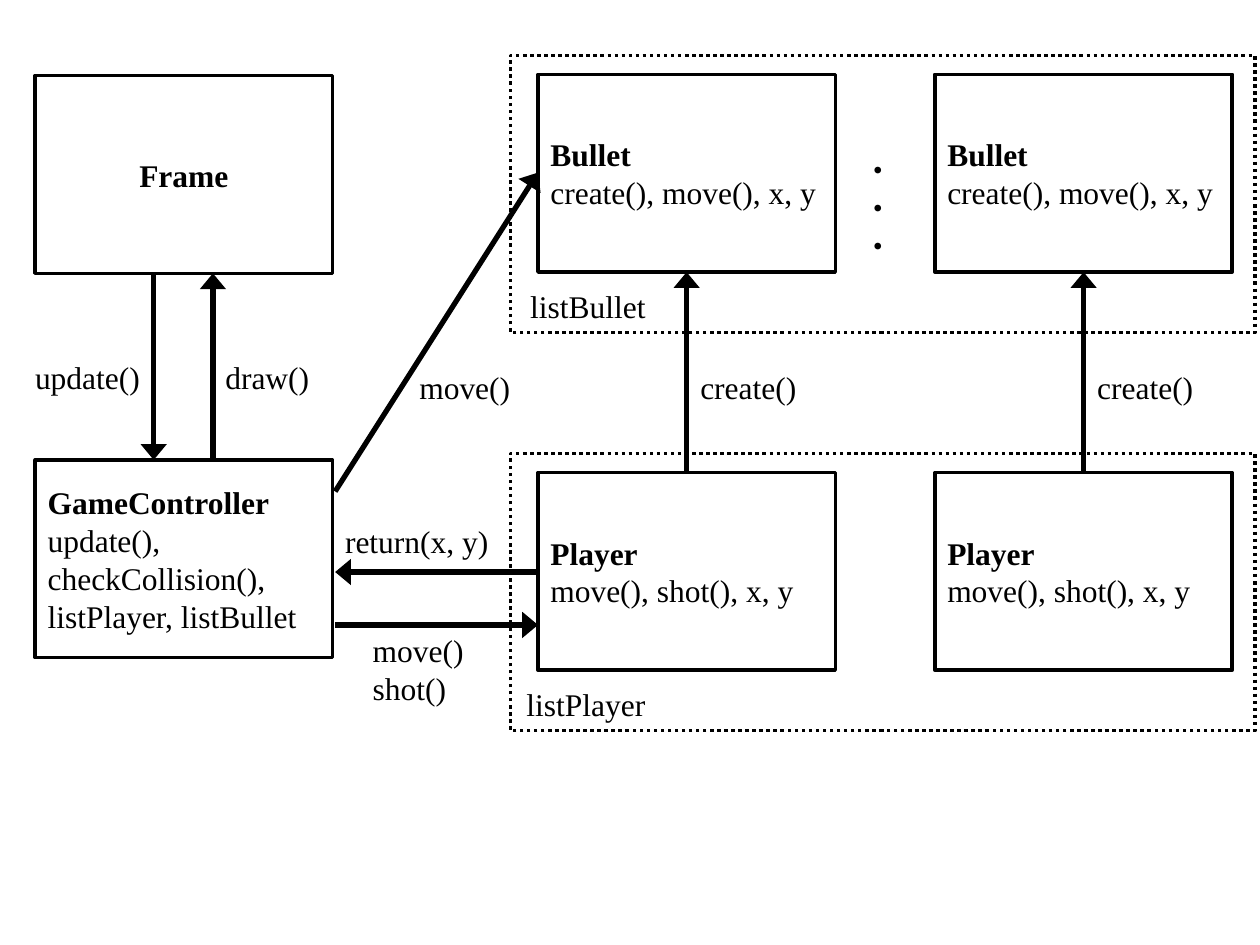
from lxml import etree
from pptx import Presentation
from pptx.dml.color import RGBColor
from pptx.enum.dml import MSO_LINE
from pptx.enum.shapes import MSO_CONNECTOR, MSO_SHAPE
from pptx.enum.text import MSO_ANCHOR, MSO_AUTO_SIZE, PP_ALIGN
from pptx.oxml.ns import qn
from pptx.util import Inches, Pt

RECTANGLE = MSO_SHAPE.RECTANGLE
STRAIGHT = MSO_CONNECTOR.STRAIGHT
DOTTED = MSO_LINE.ROUND_DOT
MIDDLE = MSO_ANCHOR.MIDDLE
LEFT, CENTER = PP_ALIGN.LEFT, PP_ALIGN.CENTER
FIT_SHAPE = MSO_AUTO_SIZE.SHAPE_TO_FIT_TEXT

COLORS = {"ink": "000000", "paper": "FFFFFF"}
FONT, TEXT_SIZE = "Times New Roman", 18
SLIDE_WIDTH, SLIDE_HEIGHT = 10, 7.5
CARD_WIDTH, CARD_HEIGHT = 2.36, 1.57
GROUP_WIDTH, GROUP_HEIGHT = 5.91, 2.2
CARD_INSET_X, CARD_INSET_Y, CARD_PITCH = 0.22, 0.15, 3.15
LABEL_HEIGHT = 0.4
COLUMNS = {"control": 0.28, "list": 4.05}
ROWS = {"bullets": 0.44, "players": 3.6}
FRAME_TOP, CONTROLLER_TOP = 0.6, 3.65
CONTROL_RIGHT = COLUMNS["control"] + CARD_WIDTH + 0.02
CARD_LEFT = COLUMNS["list"] + CARD_INSET_X
BULLET_BOTTOM = ROWS["bullets"] + CARD_INSET_Y + CARD_HEIGHT
PLAYER_TOP = ROWS["players"] + CARD_INSET_Y


def color(name):
    """Return a palette colour."""
    return RGBColor.from_string(COLORS[name])


def write_text(text_frame, text, align=LEFT, bold_title=False):
    """Set the text in the diagram's type style, with an optional bold first line."""
    text_frame.text = text
    for index, paragraph in enumerate(text_frame.paragraphs):
        paragraph.alignment = align
        for run in paragraph.runs:
            run.font.name = FONT
            run.font.size = Pt(TEXT_SIZE)
            run.font.bold = bold_title and index == 0
            run.font.color.rgb = color("ink")


def add_rectangle(slide, left, top, width, height):
    """Add an unfilled rectangle with a black outline."""
    shape = slide.shapes.add_shape(
        RECTANGLE, Inches(left), Inches(top), Inches(width), Inches(height))
    shape.shadow.inherit = False
    shape.fill.background()
    shape.line.color.rgb = color("ink")
    shape.line.width = Pt(2)
    return shape


def add_card(slide, left, top, text, align=LEFT):
    """Add a class card: bold name, then its members."""
    card = add_rectangle(slide, left, top, CARD_WIDTH, CARD_HEIGHT)
    card.fill.solid()
    card.fill.fore_color.rgb = color("paper")
    card.text_frame.word_wrap = True
    card.text_frame.vertical_anchor = MIDDLE
    write_text(card.text_frame, text, align, bold_title=True)


def add_label(slide, left, top, width, text, height=LABEL_HEIGHT, wrap=False):
    """Add a text label."""
    label = slide.shapes.add_textbox(
        Inches(left), Inches(top), Inches(width), Inches(height))
    label.text_frame.word_wrap = wrap
    label.text_frame.auto_size = FIT_SHAPE
    write_text(label.text_frame, text)


def add_arrow(slide, start, end):
    """Add a straight arrow with a wide head at the end point."""
    points = [Inches(value) for value in (*start, *end)]
    arrow = slide.shapes.add_connector(STRAIGHT, *points)
    arrow.line.color.rgb = color("ink")
    arrow.line.width = Pt(3)
    etree.SubElement(arrow.line._get_or_add_ln(), qn("a:tailEnd"),
                     type="triangle", w="lg", len="med")
    etree.SubElement(arrow._element.spPr, qn("a:effectLst"))


def add_list_group(slide, left, top, name, name_inset, card_text):
    """Add a dotted list frame holding two equal cards and the list's name."""
    for index in range(2):
        add_card(slide, left + CARD_INSET_X + index * CARD_PITCH,
                 top + CARD_INSET_Y, card_text)
    frame = add_rectangle(slide, left, top, GROUP_WIDTH, GROUP_HEIGHT)
    frame.line.dash_style = DOTTED
    add_label(slide, left + name_inset, top + 1.79, 1.2, name)


def add_control_column(slide, left):
    """Add the frame and controller cards and the calls between them."""
    add_card(slide, left, FRAME_TOP, "Frame", CENTER)
    add_card(slide, left, CONTROLLER_TOP,
             "GameController\nupdate(), checkCollision(),\nlistPlayer, listBullet")
    frame_bottom = FRAME_TOP + CARD_HEIGHT
    update_x, draw_x = left + 0.94, left + 1.41
    add_arrow(slide, (update_x, frame_bottom), (update_x, CONTROLLER_TOP))
    add_arrow(slide, (draw_x, CONTROLLER_TOP), (draw_x, frame_bottom))
    add_label(slide, left - 0.1, 2.79, 1.04, "update()")
    add_label(slide, draw_x, 2.79, 0.88, "draw()")


def add_list_calls(slide, left, right):
    """Add the calls between the controller and the two lists."""
    add_arrow(slide, (left, 3.9), (right, 1.37))
    add_label(slide, 3.23, 2.87, 0.93, "move()")
    add_arrow(slide, (right, 4.54), (left, 4.54))
    add_label(slide, left - 0.02, 4.09, 1.35, "return(x, y)")
    add_arrow(slide, (left, 4.96), (right, 4.96))
    add_label(slide, left + 0.2, 4.96, 0.93, "move()\vshot()", height=0.71)


def add_create_calls(slide, left, top, bottom):
    """Add one create call from each player to the bullet above it."""
    for index in range(2):
        center = left + CARD_WIDTH / 2 + index * CARD_PITCH
        add_arrow(slide, (center, bottom), (center, top))
        add_label(slide, center + 0.01, 2.87, 1.04, "create() ")


def main():
    """Build the class diagram slide."""
    presentation = Presentation()
    presentation.slide_width = Inches(SLIDE_WIDTH)
    presentation.slide_height = Inches(SLIDE_HEIGHT)
    slide = presentation.slides.add_slide(presentation.slide_layouts[6])
    add_list_group(slide, COLUMNS["list"], ROWS["bullets"], "listBullet", 0.06,
                   "Bullet\ncreate(), move(), x, y")
    add_list_group(slide, COLUMNS["list"], ROWS["players"], "listPlayer", 0.03,
                   "Player\nmove(), shot(), x, y")
    add_label(slide, 6.75, 1.15, 0.58, "・・・", wrap=True)
    add_control_column(slide, COLUMNS["control"])
    add_list_calls(slide, CONTROL_RIGHT, CARD_LEFT)
    add_create_calls(slide, CARD_LEFT, BULLET_BOTTOM, PLAYER_TOP)
    presentation.save("out.pptx")


main()
